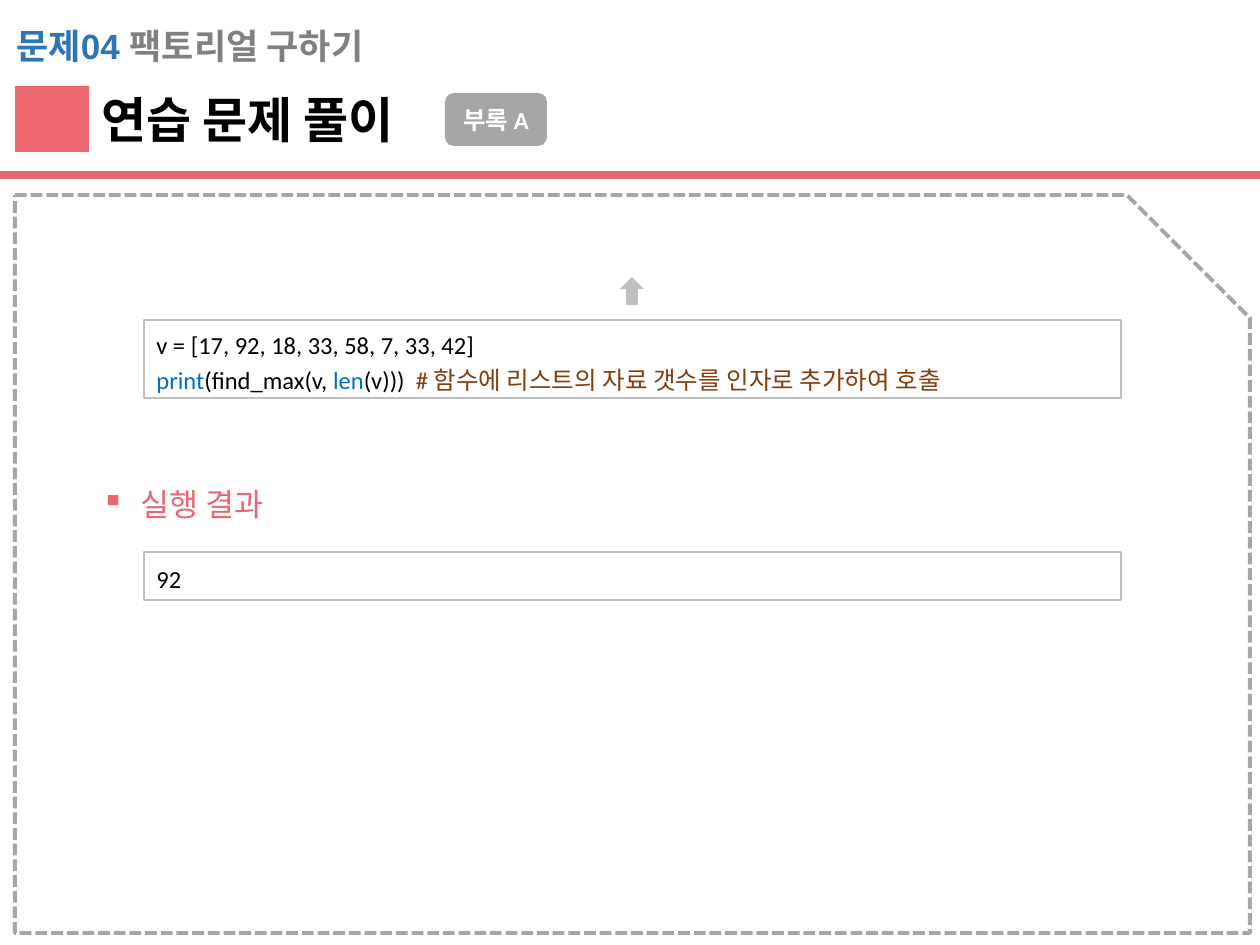
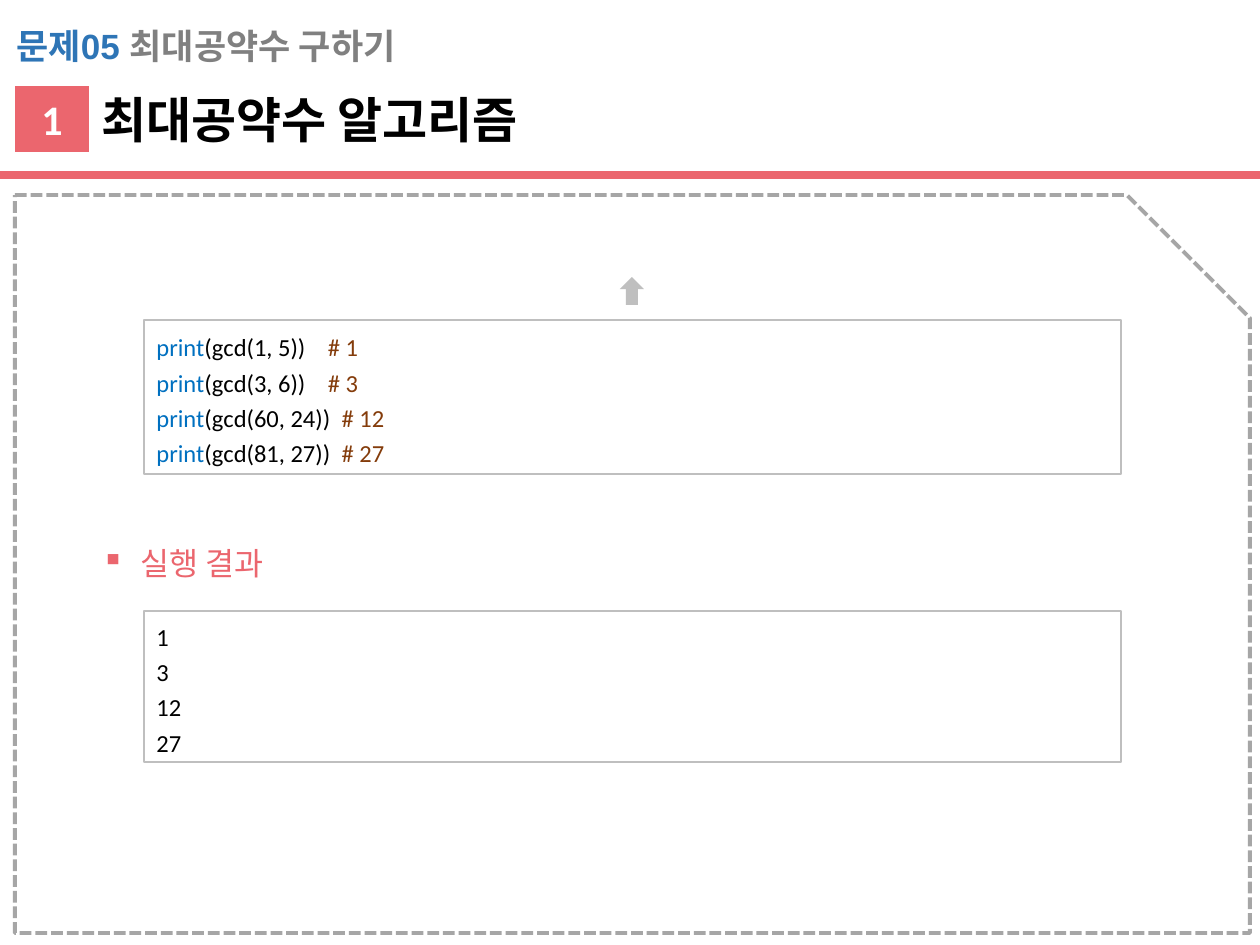
from lxml.etree import SubElement
from pptx import Presentation
from pptx.dml.color import RGBColor as Rgb
from pptx.enum.dml import MSO_LINE as Dash
from pptx.enum.shapes import MSO_CONNECTOR as Conn, MSO_SHAPE as Kind
from pptx.enum.text import MSO_ANCHOR as Anchor, PP_ALIGN as Align
from pptx.oxml.ns import qn
from pptx.util import Emu, Pt

# Content: code lines are lists of (colour, text) runs
TASKS = [
    {
        "task": "문제04 ", "topic": "팩토리얼 구하기",
        "mark": "", "title": "연습 문제 풀이", "badge": "부록 A",
        "code": [
            [("black", "v = [17, 92, 18, 33, 58, 7, 33, 42]")],
            [("word", "print"), ("black", "(find_max(v, "), ("word", "len"),
             ("black", "(v)))  "),
             ("note", "# 함수에 리스트의 자료 갯수를 인자로 추가하여 호출")],
        ],
        "out": ["92"],
        "code_h": 78, "head_y": 454, "out_h": 48,
    },
    {
        "task": "문제05 ", "topic": "최대공약수 구하기",
        "mark": "1", "title": "최대공약수 알고리즘", "badge": "",
        "code": [
            [("word", "print"), ("black", call), ("note", note)]
            for call, note in [
                ("(gcd(1, 5))    ", "# 1"),
                ("(gcd(3, 6))    ", "# 3"),
                ("(gcd(60, 24))  ", "# 12"),
                ("(gcd(81, 27))  ", "# 27"),
            ]
        ],
        "out": ["1", "3", "12", "27"],
        "code_h": 154, "head_y": 513, "out_h": 151,
    },
]
RESULT = "실행 결과"

# Shared look
HUES = {
    "rose": "EB666E", "blue": "2E75B6", "gray": "808080", "edge": "A6A6A6",
    "rule": "BFBFBF", "word": "0070C0", "note": "843C0B",
    "black": "000000", "white": "FFFFFF",
}
HEAD, BODY = "Arial", "Calibri"
WIDE, HIGH = 1260, 945
BOX_X, BOX_Y, BOX_W = 144, 320, 977
HEAD_H, OUT_GAP = 67, 98


def px(n):
    return Emu(round(n * 914400 / 126))


def hue(name):
    return Rgb.from_string(HUES[name])


def style(para, size, face, color=None, bold=False):
    font = para.font
    font.size, font.name, font.bold = Pt(size), face, bold
    if color:
        font.color.rgb = hue(color)


def add_runs(para, runs):
    for color, text in runs:
        run = para.add_run()
        run.text = text
        run.font.color.rgb = hue(color)


def add_box(slide, kind, area, fill=None, line=None, width=1):
    box = slide.shapes.add_shape(kind, *map(px, area))
    box.shadow.inherit = False
    if fill:
        box.fill.solid()
        box.fill.fore_color.rgb = hue(fill)
    else:
        box.fill.background()
    if line:
        box.line.color.rgb = hue(line)
        box.line.width = Pt(width)
    else:
        box.line.fill.background()
    return box


def add_label(box, text, size):
    frame = box.text_frame
    frame.vertical_anchor = Anchor.MIDDLE
    para = frame.paragraphs[0]
    para.text, para.alignment = text, Align.CENTER
    style(para, size, BODY, "white", True)


def add_text(slide, area):
    frame = slide.shapes.add_textbox(*map(px, area)).text_frame
    frame.word_wrap = True
    return frame.paragraphs[0]


def add_code(slide, top, high, lines):
    box = add_box(slide, Kind.RECTANGLE, (BOX_X, top, BOX_W, high), line="rule")
    frame = box.text_frame
    frame.vertical_anchor = Anchor.MIDDLE
    for i, runs in enumerate(lines):
        para = frame.add_paragraph() if i else frame.paragraphs[0]
        para.alignment, para.line_spacing = Align.LEFT, 1.2
        style(para, 14, BODY)
        add_runs(para, runs)


def add_bullet(para):
    props = para._p.get_or_add_pPr()
    props.set("marL", str(px(39)))
    props.set("indent", str(-px(39)))
    SubElement(props, qn("a:buChar")).set("char", "▪")


def add_frame(slide):
    edge = add_box(slide, Kind.SNIP_1_RECTANGLE, (15, 195, 1235, 738),
                   line="edge", width=2.25)
    edge.line.dash_style = Dash.SQUARE_DOT
    rule = slide.shapes.add_connector(Conn.STRAIGHT, 0, px(175), px(WIDE), px(175))
    rule.line.color.rgb = hue("rose")
    rule.line.width = Pt(4.5)
    SubElement(rule._element.spPr, qn("a:effectLst"))


def add_head(slide, task):
    para = add_text(slide, (4, 18, 1191, 55))
    style(para, 20, HEAD, bold=True)
    add_runs(para, [("blue", task["task"]), ("gray", task["topic"])])

    mark = add_box(slide, Kind.FLOWCHART_PROCESS, (15, 86, 74, 66), fill="rose")
    if task["mark"]:
        add_label(mark, task["mark"], 24)

    title = slide.shapes.title
    title.left, title.top, title.width, title.height = map(px, (89, 83, 1160, 72))
    title.text = task["title"]
    para = title.text_frame.paragraphs[0]
    para.alignment = Align.LEFT
    style(para, 28, HEAD, "black", True)

    if task["badge"]:
        badge = add_box(slide, Kind.ROUNDED_RECTANGLE, (445, 93, 102, 53), fill="edge")
        add_label(badge, task["badge"], 14)


def add_body(slide, task):
    add_code(slide, BOX_Y, task["code_h"], task["code"])
    arrow = add_box(slide, Kind.DOWN_ARROW, (620, 277, 24, 28), fill="rule")
    arrow.rotation = 180

    # Result heading and output
    top = task["head_y"]
    para = add_text(slide, (89, top, 1105, HEAD_H))
    para.text, para.line_spacing = RESULT, 1.65
    add_bullet(para)
    style(para, 18, HEAD, "rose")
    add_code(slide, top + OUT_GAP, task["out_h"],
             [[("black", text)] for text in task["out"]])


def main():
    deck = Presentation()
    deck.slide_width, deck.slide_height = px(WIDE), px(HIGH)
    for task in TASKS:
        slide = deck.slides.add_slide(deck.slide_layouts[5])
        add_frame(slide)
        add_head(slide, task)
        add_body(slide, task)
    deck.save("out.pptx")


if __name__ == "__main__":
    main()
